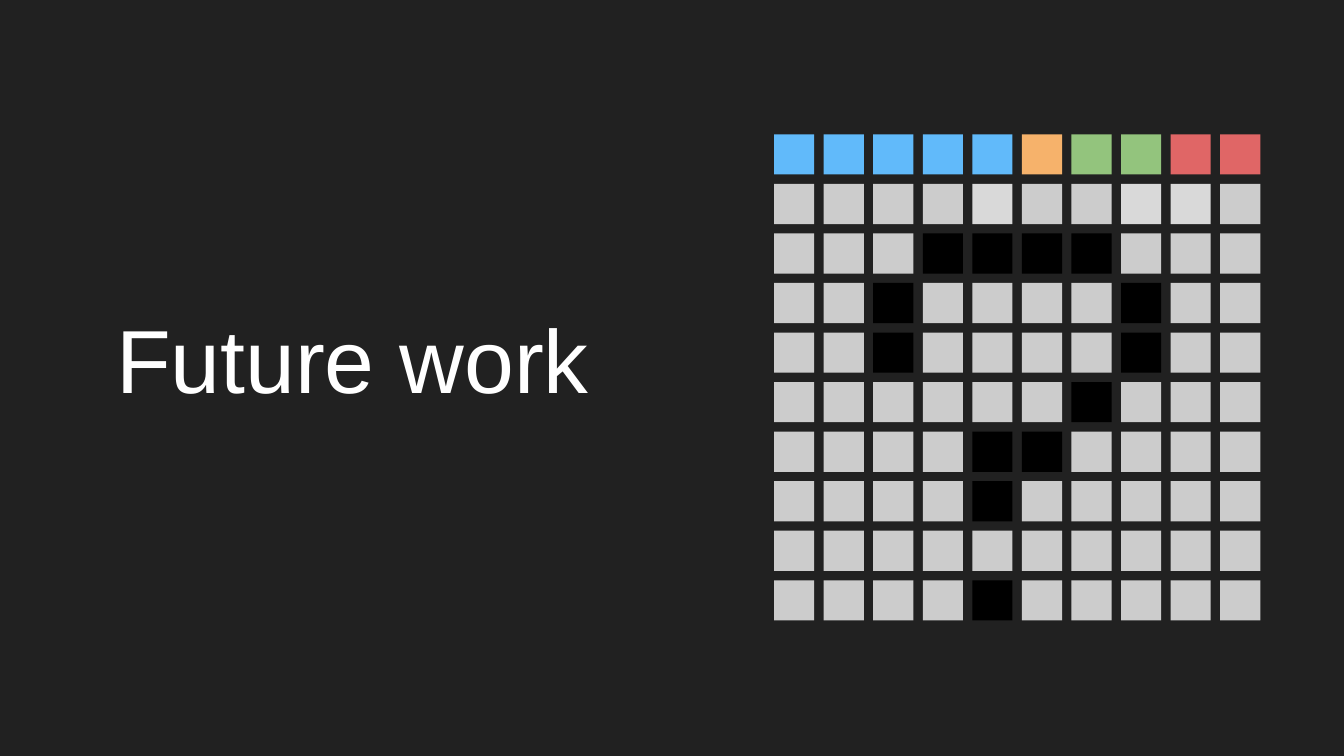
"""Build a section slide with a title and a pixel-grid question mark."""
from pptx import Presentation
from pptx.dml.color import RGBColor
from pptx.enum.shapes import MSO_SHAPE as Shape
from pptx.enum.text import MSO_ANCHOR as Anchor, PP_ALIGN as Align
from pptx.util import Cm, Pt

TITLE = "Future work"
BACKGROUND, WHITE = "212121", "FFFFFF"
PIXELS = [
    "BBBBBOGGRR",
    "....-..--.",
    "...####...",
    "..#....#..",
    "..#....#..",
    "......#...",
    "....##....",
    "....#.....",
    "..........",
    "....#.....",
]
COLORS = {
    "B": "61BAFA",
    "O": "F6B26B",
    "G": "93C47D",
    "R": "E06666",
    ".": "CCCCCC",
    "-": "D9D9D9",
    "#": "000000",
}
GRID_LEFT, GRID_TOP, CELL = 14.63, 2.54, 0.76
PITCH = 8.43 / (len(PIXELS) - 1)


def color(value):
    """Turn a hex string into a colour."""
    return RGBColor.from_string(value)


def add_title(slide):
    """Add the section title, centred slightly above the middle of its box."""
    title = slide.shapes.add_textbox(Cm(0.53), Cm(2.97), Cm(12.27), Cm(8.33))
    frame = title.text_frame
    frame.word_wrap = True
    frame.vertical_anchor = Anchor.MIDDLE
    frame.margin_left = frame.margin_right = frame.margin_top = Cm(0.25)
    frame.margin_bottom = Cm(0.98)
    paragraph = frame.paragraphs[0]
    paragraph.text = TITLE
    paragraph.alignment = Align.CENTER
    paragraph.font.name = "Arial"
    paragraph.font.size = Pt(48)
    paragraph.font.color.rgb = color(WHITE)


def add_pixel_grid(slide):
    """Add one square per character of the pixel map."""
    grid = slide.shapes.add_group_shape()
    for row, line in enumerate(PIXELS):
        for column, key in enumerate(line):
            left, top = GRID_LEFT + column * PITCH, GRID_TOP + row * PITCH
            square = grid.shapes.add_shape(
                Shape.RECTANGLE, Cm(left), Cm(top), Cm(CELL), Cm(CELL))
            square.shadow.inherit = False
            square.fill.solid()
            square.fill.fore_color.rgb = color(COLORS[key])
            square.line.fill.background()


def main():
    """Create and save the presentation."""
    presentation = Presentation()
    presentation.slide_width, presentation.slide_height = Cm(25.4), Cm(14.29)
    slide = presentation.slides.add_slide(presentation.slide_layouts[6])
    slide.background.fill.solid()
    slide.background.fill.fore_color.rgb = color(BACKGROUND)
    add_pixel_grid(slide)
    add_title(slide)
    presentation.save("out.pptx")


if __name__ == "__main__":
    main()
